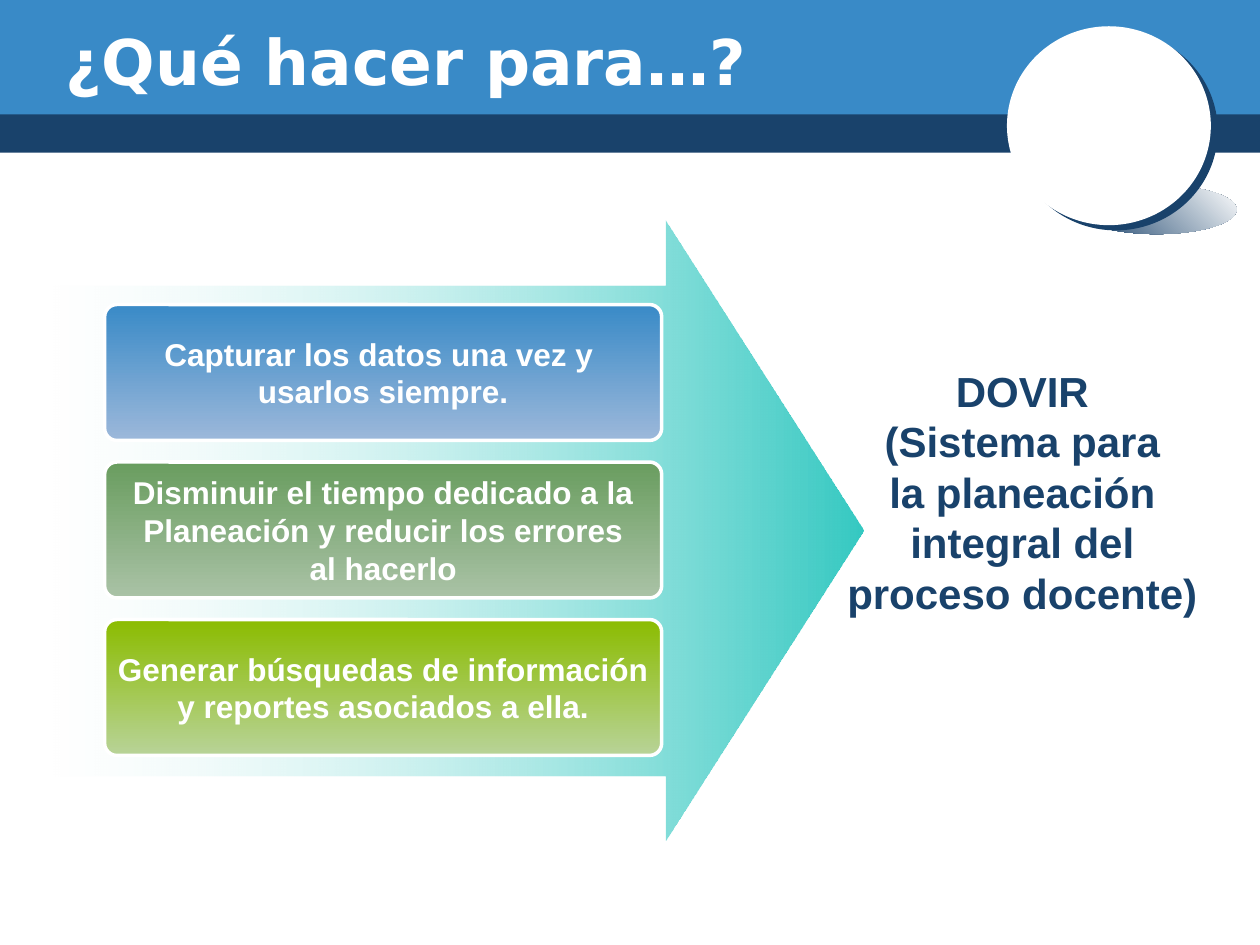
from collections import namedtuple

from lxml.etree import SubElement
from pptx import Presentation
from pptx.dml.color import RGBColor
from pptx.enum.shapes import MSO_SHAPE
from pptx.enum.text import MSO_ANCHOR, PP_ALIGN
from pptx.oxml.ns import qn
from pptx.util import Cm, Pt

Box = namedtuple("Box", "left top width height")

WHITE, NAVY, BLUE = "FFFFFF", "19426B", "398AC7"
TITLE = {"name": "DejaVu Sans", "size": Pt(36), "bold": True}
STEP = {"name": "Arial", "size": Pt(18), "bold": True}
RESULT = {"name": "Arial", "size": Pt(24), "bold": True}
STEPS = [
    (BLUE, "9CB8DA", ["Capturar los datos una vez y ", "usarlos siempre."]),
    ("699D5F", "AAC2A6", ["Disminuir el tiempo dedicado a la",
                          "Planeación y reducir los errores", "al hacerlo"]),
    ("8BBC00", "B8D398", ["Generar búsquedas de información",
                          "y reportes asociados a ella."]),
]
RESULT_LINES = ["DOVIR", "(Sistema para", "la planeación",
                "integral del proceso docente)"]


def paint(color, value):
    """Give a colour format a hex colour."""
    color.rgb = RGBColor.from_string(value)


def add_block(page, kind, box, fill=None):
    """Add a shape without line or shadow, filled when a colour is given."""
    shape = page.shapes.add_shape(kind, *(Cm(length) for length in box))
    shape.shadow.inherit = False
    shape.line.fill.background()
    if fill:
        shape.fill.solid()
        paint(shape.fill.fore_color, fill)
    else:
        shape.fill.background()
    return shape


def add_gradient(shape, start, end, angle):
    """Fill a shape with a two-colour gradient, angle counter-clockwise."""
    shape.fill.gradient()
    shape.fill.gradient_angle = angle
    for stop, value in zip(shape.fill.gradient_stops, (start, end)):
        paint(stop.color, value)


def write(shape, lines, style, color, align=PP_ALIGN.CENTER, wrap=True):
    """Write one paragraph per line, centred vertically."""
    frame = shape.text_frame
    frame.word_wrap = wrap
    frame.vertical_anchor = MSO_ANCHOR.MIDDLE
    for number, line in enumerate(lines):
        para = frame.add_paragraph() if number else frame.paragraphs[0]
        para.alignment = align
        span = para.add_run()
        span.text = line
        for name, value in style.items():
            setattr(span.font, name, value)
        paint(span.font.color, color)


def add_header(page, box):
    """Draw the two header bands and the title."""
    band = 2.31
    for top, height, color in ((2.21, box.height - 2.21, NAVY), (0, band, BLUE)):
        area = Box(box.left, box.top + top, box.width, height)
        add_block(page, MSO_SHAPE.RECTANGLE, area, color)
    area = Box(box.left + 1.07, box.top + 0.43, 20.52, 1.57)
    title = page.shapes.add_textbox(*(Cm(length) for length in area))
    write(title, ["¿Qué hacer para…?"], TITLE, WHITE, PP_ALIGN.LEFT)


def add_disc(page, box):
    """Draw the white disc with its edge and the shade beneath it."""
    area = Box(box.left + 1.4, box.top + 3.2, 3.23, 0.99)
    shade = add_block(page, MSO_SHAPE.OVAL, area)
    add_gradient(shade, NAVY, WHITE, 45)
    area = Box(box.left, box.top, 4.11, 4.01)
    disc = add_block(page, MSO_SHAPE.OVAL, area, WHITE)
    effects = disc._element.spPr.find(qn("a:effectLst"))
    edge = SubElement(effects, qn("a:outerShdw"), blurRad="0",
                      dist=str(Pt(5)), dir=str(37 * 60000),
                      algn="ctr", rotWithShape="0")
    SubElement(edge, qn("a:srgbClr"), val=NAVY)


def add_arrow(page, box):
    """Draw the wide arrow that fades in from the left."""
    arrow = add_block(page, MSO_SHAPE.RIGHT_ARROW, box)
    arrow.adjustments[0], arrow.adjustments[1] = 0.79, 0.32
    add_gradient(arrow, WHITE, "35C9C2", 0)
    first = next(arrow._element.spPr.iter(qn("a:srgbClr")))
    SubElement(first, qn("a:alpha"), val="24000")


def add_steps(page, box):
    """Stack the rounded steps at equal gaps."""
    height = 2.74
    pitch = (box.height - height) / (len(STEPS) - 1)
    for number, (start, end, lines) in enumerate(STEPS):
        area = Box(box.left, box.top + number * pitch, box.width, height)
        step = add_block(page, MSO_SHAPE.ROUNDED_RECTANGLE, area)
        step.adjustments[0] = 0.09
        add_gradient(step, start, end, 270)
        step.line.width = Pt(2)
        step.line.fill.solid()
        paint(step.line.color, WHITE)
        write(step, lines, STEP, WHITE, wrap=False)


def add_result(page, box):
    """Write the result the arrow points to."""
    result = add_block(page, MSO_SHAPE.ROUNDED_RECTANGLE, box)
    result.adjustments[0] = 0.09
    write(result, RESULT_LINES, RESULT, NAVY)


def main():
    """Build the slide and save it."""
    deck = Presentation()
    deck.slide_width, deck.slide_height = Cm(25.4), Cm(19.05)
    page = deck.slides.add_slide(deck.slide_layouts[6])
    add_header(page, Box(0, 0, 25.4, 3.08))
    add_disc(page, Box(20.3, 0.53, 4.63, 4.19))
    add_arrow(page, Box(1.07, 4.45, 16.33, 12.5))
    add_steps(page, Box(2.11, 6.14, 11.23, 9.09))
    add_result(page, Box(16.33, 7.13, 8.56, 5.56))
    deck.save("out.pptx")


if __name__ == "__main__":
    main()
